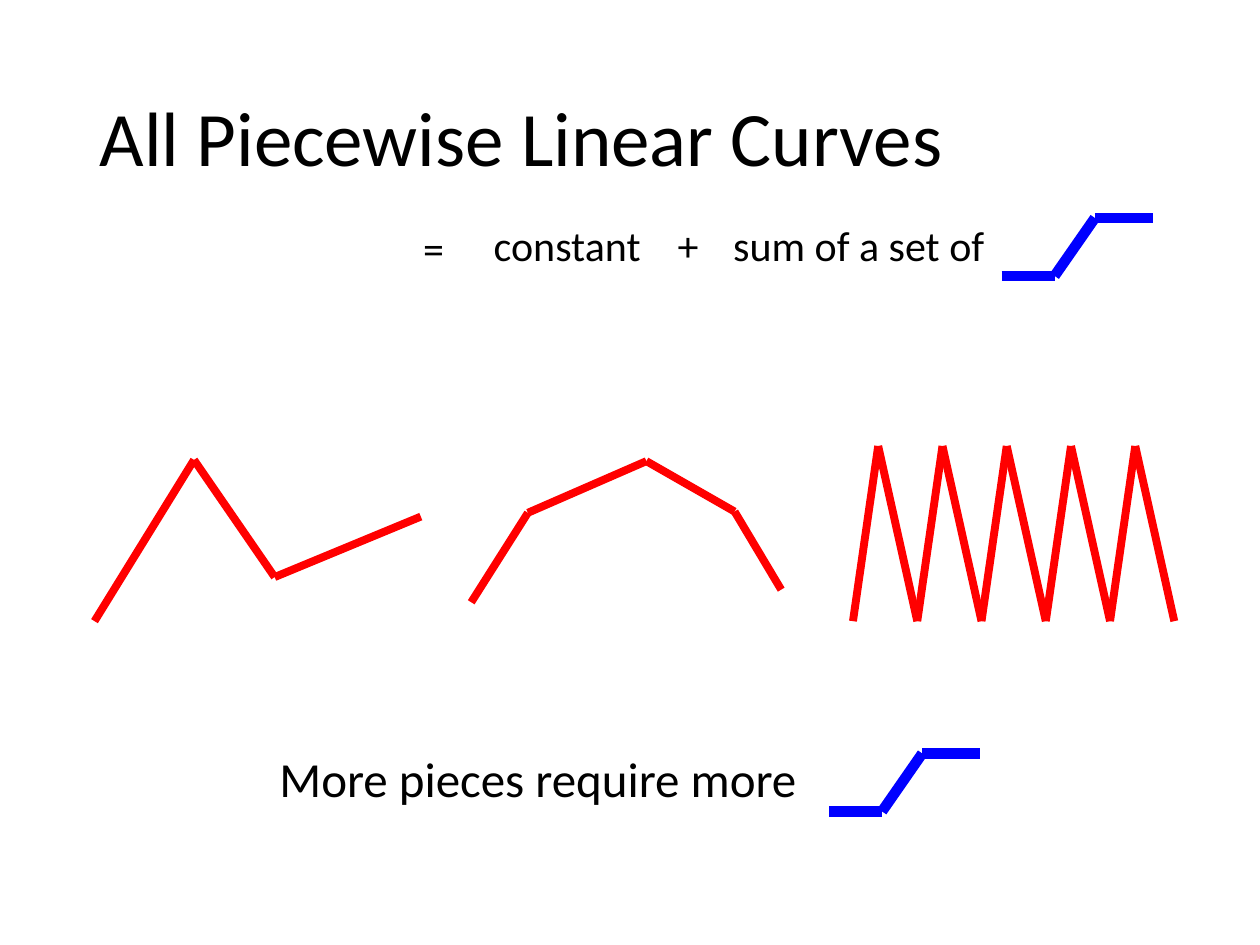
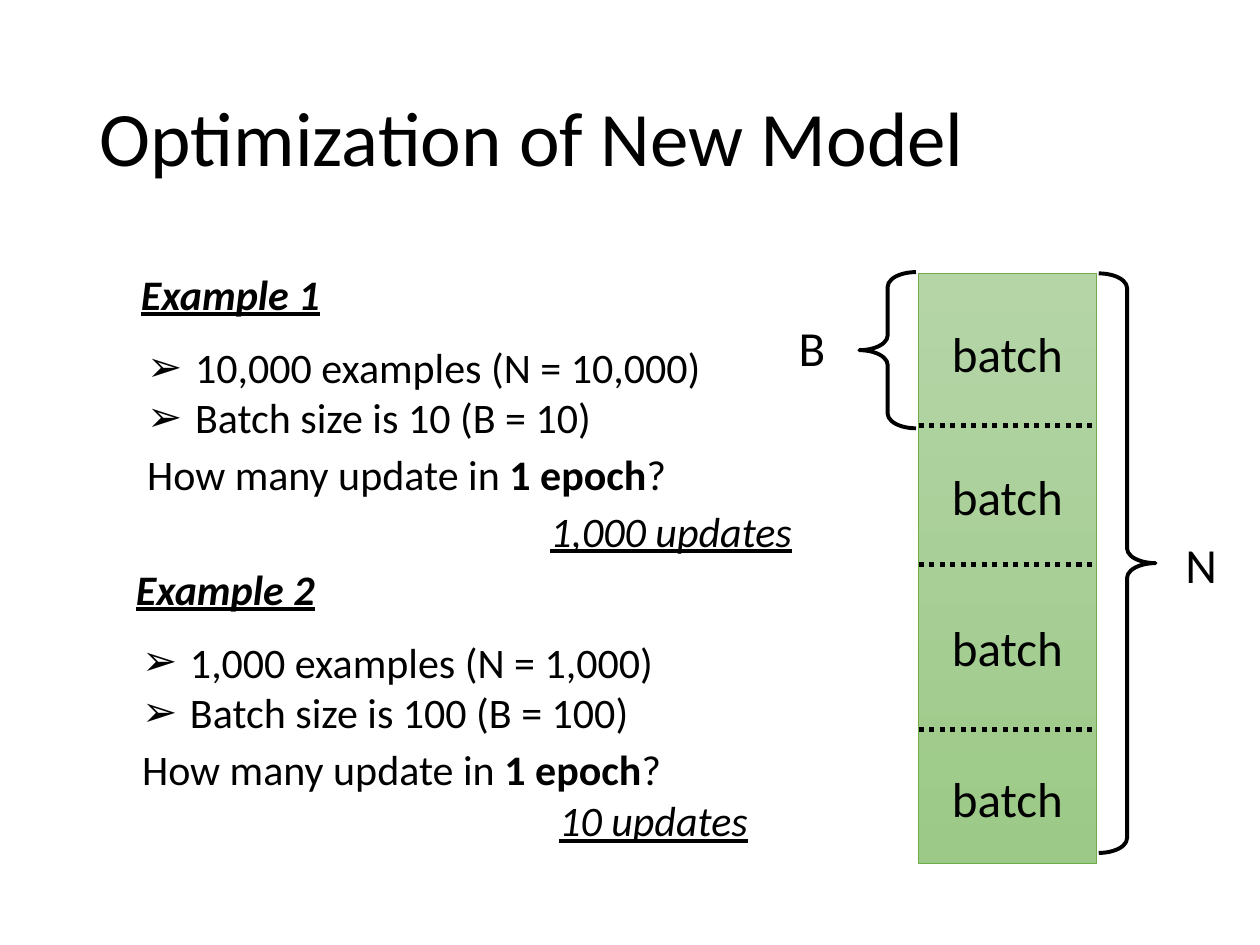
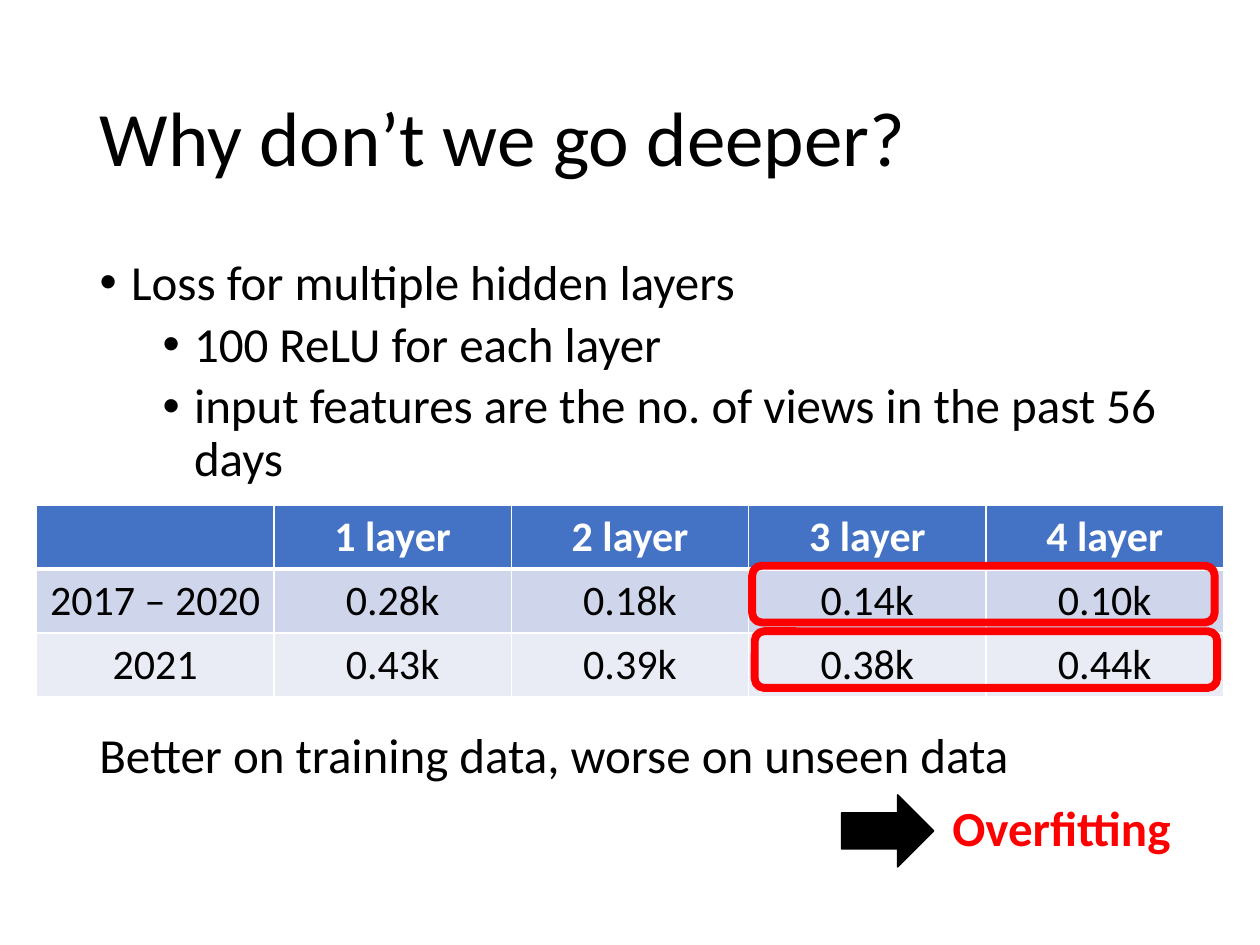
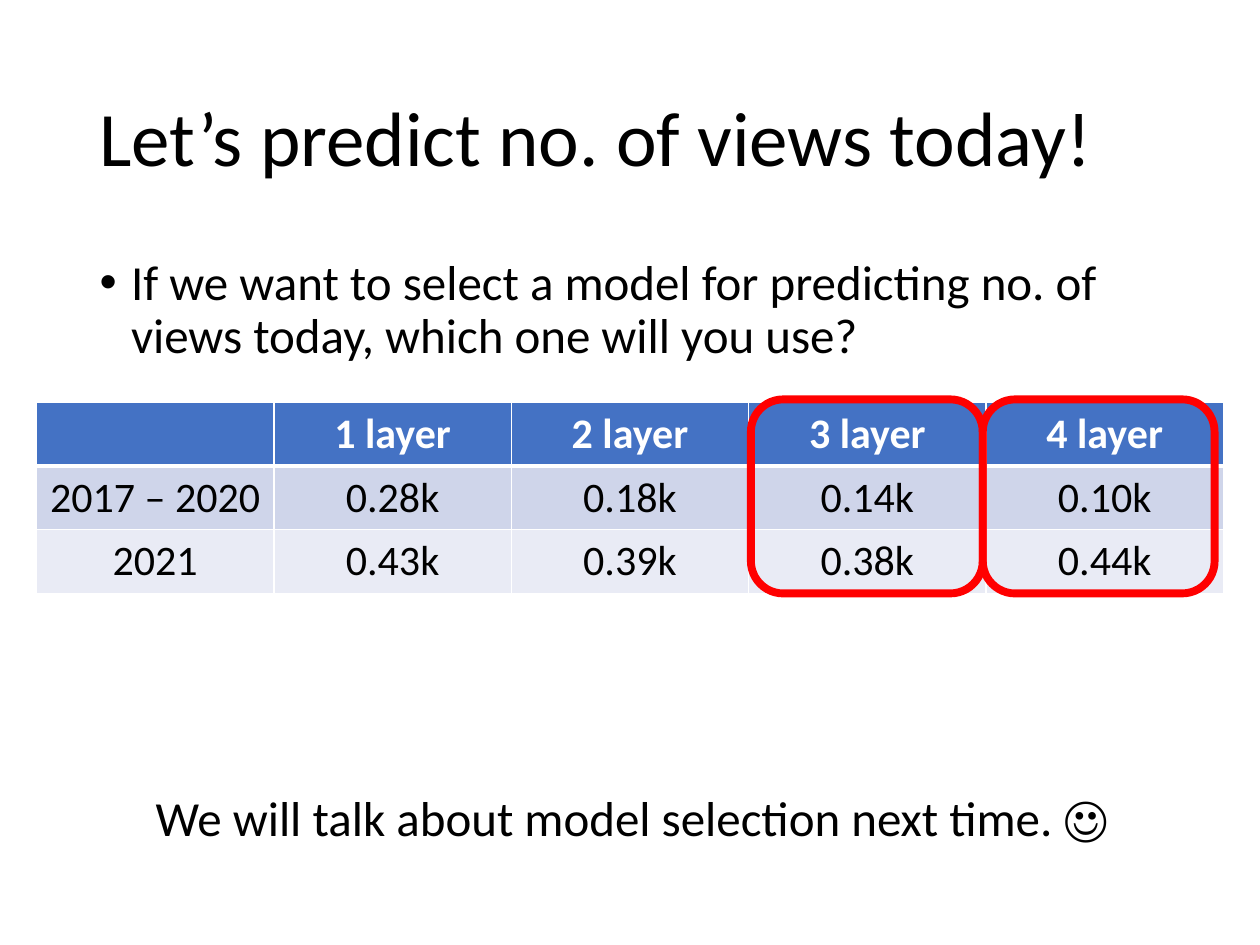
import lxml.etree
import pptx
import pptx.dml.color
import pptx.enum.dml
import pptx.enum.shapes
import pptx.enum.text
import pptx.oxml.ns
import pptx.util

BLACK = pptx.dml.color.RGBColor(0x00, 0x00, 0x00)
WHITE = pptx.dml.color.RGBColor(0xFF, 0xFF, 0xFF)
RED = pptx.dml.color.RGBColor(0xFF, 0x00, 0x00)
BLUE = pptx.dml.color.RGBColor(0x00, 0x00, 0xFF)
GREEN = pptx.dml.color.RGBColor(0x70, 0xAD, 0x47)
GREEN_TOP = pptx.dml.color.RGBColor(0xB5, 0xD5, 0xA7)
GREEN_BOTTOM = pptx.dml.color.RGBColor(0x9C, 0xC9, 0x87)
ROW_FILLS = [
    pptx.dml.color.RGBColor(0x44, 0x72, 0xC4),
    pptx.dml.color.RGBColor(0xCF, 0xD5, 0xEA),
    pptx.dml.color.RGBColor(0xE9, 0xEB, 0xF5),
]
FONT = "Calibri"
LEFT = pptx.enum.text.PP_ALIGN.LEFT
CENTER = pptx.enum.text.PP_ALIGN.CENTER
SHAPES = pptx.enum.shapes.MSO_SHAPE

COLUMNS, ROWS = 10, 7.5
CELL = pptx.util.Inches(1)
TITLE_AREA = (0.69, 0.4, 8.62, 1.45)
BODY_AREA = (0.69, 2, 8.62, 4.76)
TABLE_LEFT, TABLE_WIDTH, ROW_HEIGHT = 0.29, 9.42, 0.5

CURVES = [
    [(0.75, 4.93), (1.54, 3.65), (2.18, 4.58), (3.34, 4.1)],
    [(3.74, 4.78), (4.19, 4.07), (5.13, 3.66), (5.83, 4.06), (6.2, 4.68)],
]
TEETH, TOOTH_LEFT, TOOTH_PITCH = 5, 6.77, 0.51
TOOTH_TOP, TOOTH_BOTTOM = 3.54, 4.93
RAMP = [(0, 0.46), (0.42, 0.46), (0.74, 0), (1.2, 0)]

FORMULA = [
    ("sum of a set of", 5.72, 1.69),
    ("constant\t+", 3.82, 1.69),
    ("=", 3.26, 1.72),
]
PLUS_STOP = 1.46

EXAMPLES = [
    {
        "name": "Example 1",
        "facts": ["10,000 examples (N = 10,000)", "Batch size is 10 (B = 10)"],
        "answer": "1,000 updates",
        "at": (1.02, 2.08),
        "answer_at": (4.27, 3.96),
    },
    {
        "name": "Example 2",
        "facts": ["1,000 examples (N = 1,000)", "Batch size is 100 (B = 100)"],
        "answer": "10 updates",
        "at": (0.98, 4.42),
        "answer_at": (4.34, 6.26),
    },
]
QUESTION = [("How many update in ", False), ("1 epoch", True), ("?", False)]
BATCH_LEFT, BATCH_TOP, BATCH_WIDTH, BATCH_HEIGHT = 7.29, 2.17, 1.41, 4.68
BATCH_LABEL_TOPS = [2.52, 3.65, 4.85, 6.05]
BATCH_CUTS = [3.38, 4.48, 5.79]

LOSS_TABLE = [
    ["", "1 layer", "2 layer", "3 layer", "4 layer"],
    ["2017 – 2020", "0.28k", "0.18k", "0.14k", "0.10k"],
    ["2021", "0.43k", "0.39k", "0.38k", "0.44k"],
]
DEEPER_POINTS = [
    ("Loss for multiple hidden layers", 0),
    ("100 ReLU for each layer", 1),
    ("input features are the no. of views in the past 56 days", 1),
]
PREDICT_POINTS = [
    ("If we want to select a model for predicting no. of views today, "
     "which one will you use?", 0),
]


def grid(*cells):
    return [round(cell * CELL) for cell in cells]


def add_xml(parent, tag, **attributes):
    name = pptx.oxml.ns.qn(tag)
    return lxml.etree.SubElement(parent, name, attributes)


def style(para, size, color=BLACK, bold=False, italic=False, underline=False):
    font = para.font
    font.name = FONT
    font.size = pptx.util.Pt(size)
    font.color.rgb = color
    font.bold = bold
    font.italic = italic
    font.underline = underline


def set_bullet(para, mark, indent, hang):
    props = para._p.get_or_add_pPr()
    props.set("marL", str(grid(indent)[0]))
    props.set("indent", str(-grid(hang)[0]))
    add_xml(props, "a:buFont", typeface="Arial")
    add_xml(props, "a:buChar", char=mark)


def add_text(shapes, lines, area, size, align=LEFT, bullet=None, tab=None,
             wrap=True, **looks):
    box = shapes.add_textbox(*grid(*area))
    frame = box.text_frame
    frame.word_wrap = wrap
    frame.auto_size = pptx.enum.text.MSO_AUTO_SIZE.SHAPE_TO_FIT_TEXT
    frame.text = "\n".join(lines)
    for para in frame.paragraphs:
        para.alignment = align
        if bullet:
            set_bullet(para, bullet, 0.38, 0.38)
        if tab:
            stops = add_xml(para._p.get_or_add_pPr(), "a:tabLst")
            add_xml(stops, "a:tab", pos=str(grid(tab)[0]), algn="l")
        style(para, size, **looks)
    return box


def add_line(shapes, start, end, color, width, dash=None):
    line = shapes.add_connector(
        pptx.enum.shapes.MSO_CONNECTOR.STRAIGHT, *grid(*start, *end))
    line.line.color.rgb = color
    line.line.width = pptx.util.Pt(width)
    if dash:
        line.line.dash_style = dash
    add_xml(line._element.spPr, "a:effectLst")


def add_curve(shapes, points, color, width):
    for start, end in zip(points, points[1:]):
        add_line(shapes, start, end, color, width)


def add_ramp(shapes, left, top):
    add_curve(shapes, [(left + x, top + y) for x, y in RAMP], BLUE, 6)


def add_figure(shapes, kind, area, color, width, fill=None):
    figure = shapes.add_shape(kind, *grid(*area))
    figure.shadow.inherit = False
    figure.line.color.rgb = color
    figure.line.width = pptx.util.Pt(width)
    if fill is None:
        figure.fill.background()
    else:
        figure.fill.solid()
        figure.fill.fore_color.rgb = fill
    return figure


def add_brace(shapes, area, flipped=False):
    brace = add_figure(shapes, SHAPES.RIGHT_BRACE, area, BLACK, 2.25)
    brace.adjustments[0] = 0.26
    if flipped:
        brace._element.spPr.xfrm.set("flipH", "1")


def place(holder, area):
    holder.left, holder.top, holder.width, holder.height = grid(*area)


def add_page(deck, title, points=()):
    page = deck.slides.add_slide(deck.slide_layouts[1 if points else 5])
    heading = page.shapes.title
    place(heading, TITLE_AREA)
    heading.text_frame.text = title
    heading.text_frame.vertical_anchor = pptx.enum.text.MSO_ANCHOR.MIDDLE
    para = heading.text_frame.paragraphs[0]
    para.alignment = LEFT
    para.line_spacing = 0.9
    style(para, 44)
    if points:
        body = page.placeholders[1]
        place(body, BODY_AREA)
        body.text_frame.text = "\n".join(text for text, level in points)
        for para, (text, level) in zip(body.text_frame.paragraphs, points):
            para.level = level
            para.line_spacing = 0.9
            para.space_before = pptx.util.Pt(5 if level else 10)
            set_bullet(para, "•", 0.25 + 0.5 * level, 0.25)
            style(para, 28)
    return page


def set_borders(cell, header):
    props = cell._tc.get_or_add_tcPr()
    for side in "LRTB":
        points = 3 if header and side == "B" else 1
        border = add_xml(props, f"a:ln{side}", w=str(pptx.util.Pt(points)))
        paint = add_xml(border, "a:solidFill")
        add_xml(paint, "a:srgbClr", val=str(WHITE))


def add_loss_table(page, top):
    count = len(LOSS_TABLE)
    area = (TABLE_LEFT, top, TABLE_WIDTH, ROW_HEIGHT * count)
    table = page.shapes.add_table(
        count, len(LOSS_TABLE[0]), *grid(*area)).table
    for row, (values, fill) in enumerate(zip(LOSS_TABLE, ROW_FILLS)):
        header = row == 0
        for column, value in enumerate(values):
            cell = table.cell(row, column)
            set_borders(cell, header)
            cell.fill.solid()
            cell.fill.fore_color.rgb = fill
            cell.text = value
            para = cell.text_frame.paragraphs[0]
            para.alignment = CENTER
            style(para, 24, WHITE if header else BLACK, bold=header)


def build_curves(deck):
    page = add_page(deck, "All Piecewise Linear Curves")
    for points in CURVES:
        add_curve(page.shapes.add_group_shape().shapes, points, RED, 4.5)

    zigzag = page.shapes.add_group_shape().shapes
    for tooth in range(TEETH):
        left = TOOTH_LEFT + tooth * TOOTH_PITCH
        points = [(left, TOOTH_BOTTOM), (left + 0.2, TOOTH_TOP),
                  (left + 0.51, TOOTH_BOTTOM)]
        add_curve(zigzag, points, RED, 4.5)

    remark = page.shapes.add_group_shape().shapes
    add_text(remark, ["More pieces require more"], (2.12, 5.89, 4.44, 0.57),
             28, wrap=False)
    add_ramp(remark, 6.58, 5.98)

    formula = page.shapes.add_group_shape().shapes
    add_ramp(formula, 7.95, 1.73)
    for text, left, top in FORMULA:
        add_text(formula, [text], (left, top, 2.61, 0.5), 24,
                 tab=PLUS_STOP if "\t" in text else None)


def add_example(shapes, example):
    left, top = example["at"]
    add_text(shapes, [example["name"]], (left, top, 4.97, 0.5), 24,
             bold=True, italic=True, underline=True)
    add_text(shapes, example["facts"], (left + 0.05, top + 0.58, 4.97, 0.91),
             24, bullet="➢")
    question = add_text(shapes, [""], (left + 0.05, top + 1.43, 4.97, 0.5), 24)
    para = question.text_frame.paragraphs[0]
    for text, bold in QUESTION:
        span = para.add_run()
        span.text = text
        span.font.bold = bold
    add_text(shapes, [example["answer"]], (*example["answer_at"], 2.28, 0.5),
             24, italic=True, underline=True)


def build_batches(deck):
    shapes = add_page(deck, "Optimization of New Model").shapes
    stack = add_figure(
        shapes, SHAPES.RECTANGLE,
        (BATCH_LEFT, BATCH_TOP, BATCH_WIDTH, BATCH_HEIGHT), GREEN, 0.5)
    stack.fill.gradient()
    stack.fill.gradient_angle = 270
    for stop, color in zip(stack.fill.gradient_stops,
                           (GREEN_TOP, GREEN_BOTTOM)):
        stop.color.rgb = color

    add_brace(shapes, (8.72, BATCH_TOP, 0.45, 4.6))
    add_text(shapes, ["B"], (6.24, 2.47, 0.49, 0.57), 28)
    for cut in BATCH_CUTS:
        add_line(shapes, (BATCH_LEFT, cut), (BATCH_LEFT + BATCH_WIDTH, cut),
                 BLACK, 3, pptx.enum.dml.MSO_LINE.ROUND_DOT)
    for top in BATCH_LABEL_TOPS:
        add_text(shapes, ["batch"], (BATCH_LEFT, top, BATCH_WIDTH, 0.57),
                 28, CENTER)
    add_brace(shapes, (6.82, 2.16, 0.45, 1.24), flipped=True)

    for example in EXAMPLES:
        add_example(shapes, example)
    add_text(shapes, ["N"], (9.31, 4.19, 0.95, 0.57), 28)


def build_deeper(deck):
    page = add_page(deck, "Why don’t we go deeper?", DEEPER_POINTS)
    add_loss_table(page, 4.01)
    for left, top in [(5.97, 4.49), (5.99, 5.01)]:
        add_figure(page.shapes, SHAPES.ROUNDED_RECTANGLE,
                   (left, top, 3.67, 0.45), RED, 4.5)
    add_text(page.shapes, ["Better on training data, worse on unseen data"],
             (0.69, 5.7, 7.63, 0.57), 28)
    add_figure(page.shapes, SHAPES.RIGHT_ARROW, (6.68, 6.31, 0.73, 0.57),
               BLACK, 1, BLACK)
    add_text(page.shapes, ["Overfitting"], (7.46, 6.28, 2.54, 0.57), 28,
             color=RED, bold=True)


def build_prediction(deck):
    page = add_page(deck, "Let’s predict no. of views today!", PREDICT_POINTS)
    add_loss_table(page, 3.19)
    for column in range(2):
        add_figure(page.shapes, SHAPES.ROUNDED_RECTANGLE,
                   (5.96 + 1.84 * column, 3.17, 1.84, 1.54), RED, 4.5)
    add_text(page.shapes, ["We will talk about model selection next time. ☺"],
             (0.69, 6.2, 8.65, 0.57), 28, CENTER)


def main():
    deck = pptx.Presentation()
    deck.slide_width, deck.slide_height = grid(COLUMNS, ROWS)
    for build in (build_curves, build_batches, build_deeper, build_prediction):
        build(deck)
    deck.save("out.pptx")


if __name__ == "__main__":
    main()
